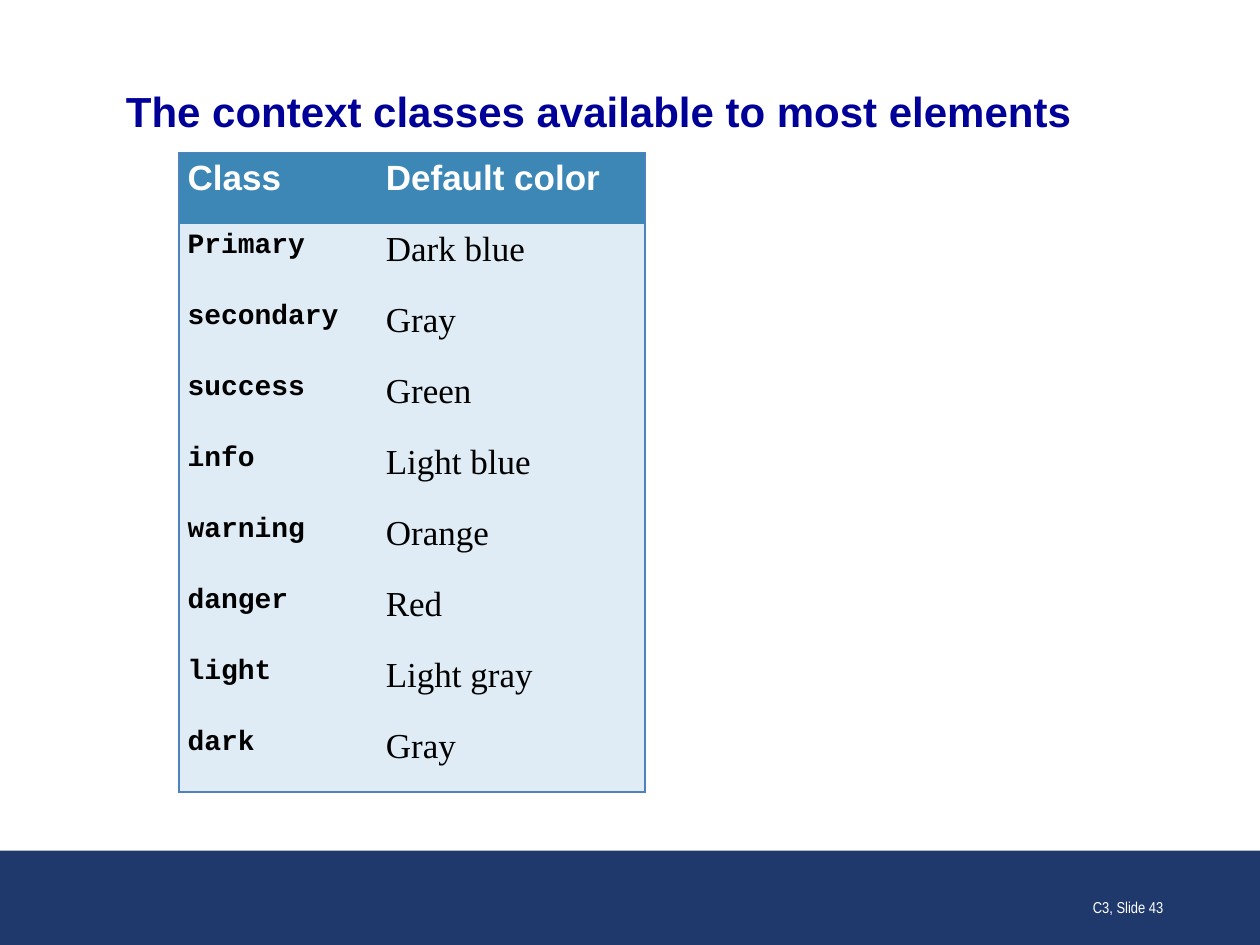
from lxml import etree
from pptx import Presentation
from pptx import util as u
from pptx.dml.color import RGBColor
from pptx.enum import shapes, text
from pptx.oxml.ns import qn

WIDTH, HEIGHT = u.Inches(10), u.Inches(7.5)
COLOURS = {
    "title": "000099", "band": "20396D", "header": "3D87B7",
    "body": "DFECF5", "border": "4F81BD", "white": "FFFFFF", "black": "000000",
}
CLASSES = [
    ("Class", "Default color"),
    ("Primary", "Dark blue"),
    ("secondary", "Gray"),
    ("success", "Green"),
    ("info", "Light blue"),
    ("warning", "Orange"),
    ("danger", "Red"),
    ("light", "Light gray"),
    ("dark", "Gray"),
]
COLUMN_SHARES = (0.425, 0.575)


def colour(name):
    return RGBColor.from_string(COLOURS[name])


def region(left, top, width, height):
    """Turn inches on the 10 by 7.5 slide grid into a box."""
    return tuple(int(WIDTH * value / 10) for value in (left, top, width, height))


def write(frame, words, *, font, size, fill, bold=False, before=0, after=0,
          align=text.PP_ALIGN.LEFT):
    paragraph = frame.paragraphs[0]
    paragraph.alignment = align
    paragraph.space_before, paragraph.space_after = u.Pt(before), u.Pt(after)
    run = paragraph.add_run()
    run.text = words
    run.font.name, run.font.size, run.font.bold = font, u.Pt(size), bold
    run.font.color.rgb = colour(fill)


def add_text(slide, box, words, *, anchor, margins, **style):
    frame = slide.shapes.add_textbox(*box).text_frame
    frame.word_wrap = True
    frame.vertical_anchor = anchor
    frame.margin_left = frame.margin_right = u.Inches(margins[0])
    frame.margin_top = frame.margin_bottom = u.Inches(margins[1])
    write(frame, words, **style)


def set_borders(cell, outer_sides):
    """Draw the outer sides of a cell and clear the inner ones."""
    properties = cell._tc.get_or_add_tcPr()
    for side in "LRTB":
        line = etree.SubElement(properties, qn(f"a:ln{side}"), w=str(u.Pt(1)))
        if side in outer_sides:
            fill = etree.SubElement(line, qn("a:solidFill"))
            etree.SubElement(fill, qn("a:srgbClr"), val=COLOURS["border"])
        else:
            etree.SubElement(line, qn("a:noFill"))


def add_title(slide, box):
    add_text(slide, box, "The context classes available to most elements",
             anchor=text.MSO_ANCHOR.MIDDLE, margins=(0, 0), font="Arial",
             size=24, fill="title", bold=True, after=6)


def add_class_table(slide, box):
    rows, columns = len(CLASSES), len(COLUMN_SHARES)
    table = slide.shapes.add_table(rows, columns, *box).table
    table.first_row = table.horz_banding = False
    for column, share in zip(table.columns, COLUMN_SHARES):
        column.width = int(box[2] * share)
    for row in table.rows:
        row.height = box[3] // rows

    header = dict(font="Arial", size=20, fill="white", bold=True)
    body = (dict(font="Courier New", size=16, fill="black", bold=True),
            dict(font="Times New Roman", size=20, fill="black"))
    for r, words in enumerate(CLASSES):
        for c, word in enumerate(words):
            cell = table.cell(r, c)
            cell.margin_left = cell.margin_right = u.Inches(0.07)
            cell.margin_top = cell.margin_bottom = u.Inches(0.05)
            sides = "LR"[c] + ("T" if r == 0 else "B" if r == rows - 1 else "")
            set_borders(cell, sides)
            cell.fill.solid()
            cell.fill.fore_color.rgb = colour("body" if r else "header")
            write(cell.text_frame, word, before=6, after=6,
                  **(body[c] if r else header))


def add_footer(slide, box):
    # Band across the foot of the slide
    band = slide.shapes.add_shape(shapes.MSO_SHAPE.RECTANGLE, *box)
    band.shadow.inherit = False
    band.fill.solid()
    band.fill.fore_color.rgb = colour("band")
    band.line.fill.background()

    # Slide number, placed by shares of the band
    left, top, width, height = box
    number = (left + int(width * 0.725), top + int(height * 0.11),
              int(width * 0.208), int(height * 0.66))
    add_text(slide, number, "C3, Slide 43", anchor=text.MSO_ANCHOR.BOTTOM,
             margins=(0.1, 0.05), font="Arial Narrow", size=9, fill="white",
             align=text.PP_ALIGN.RIGHT)


def main():
    presentation = Presentation()
    presentation.slide_width, presentation.slide_height = WIDTH, HEIGHT
    slide = presentation.slides.add_slide(presentation.slide_layouts[6])
    add_footer(slide, region(0, 6.75, 10, 0.75))
    add_title(slide, region(1, 0.68, 8, 0.4))
    add_class_table(slide, region(1.42, 1.21, 3.7, 5.08))
    presentation.save("out.pptx")


if __name__ == "__main__":
    main()
